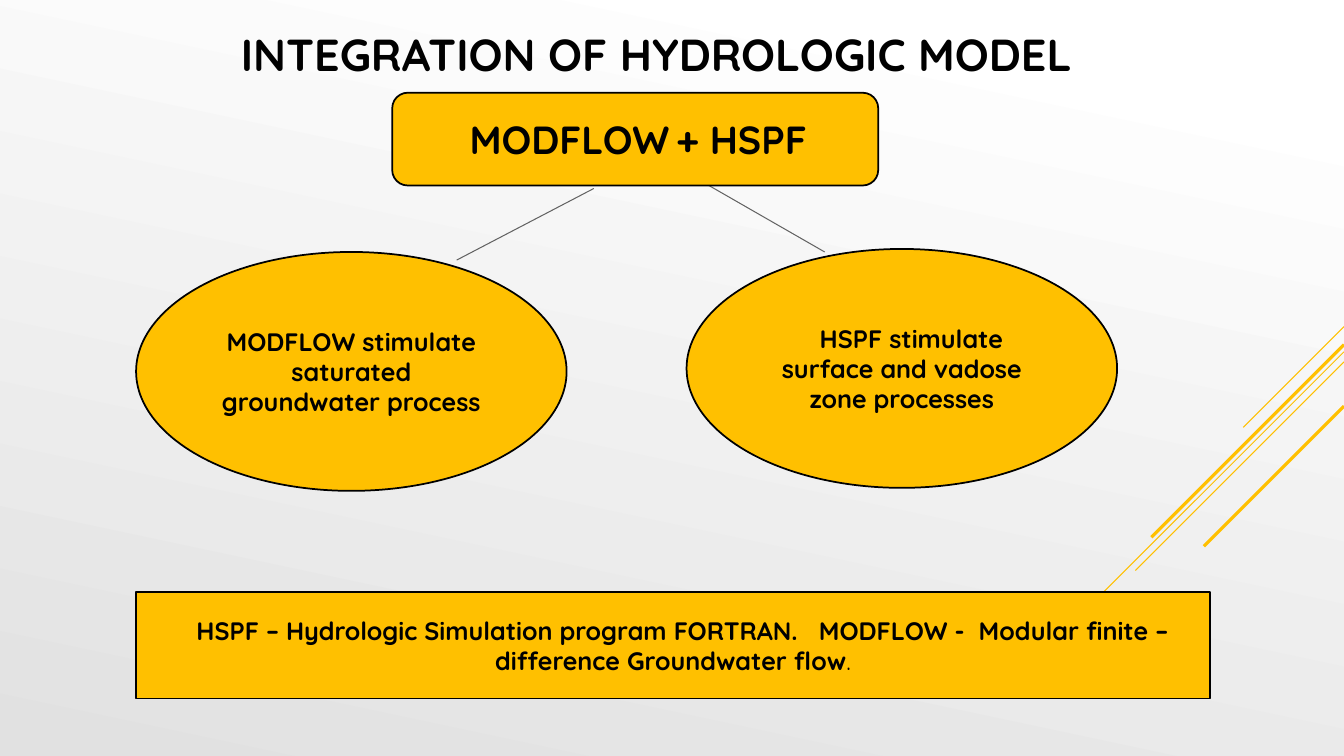
from pptx import Presentation
from pptx.dml.color import RGBColor
from pptx.enum.shapes import MSO_CONNECTOR as Link, MSO_SHAPE as Form
from pptx.enum.text import MSO_ANCHOR as Anchor, PP_ALIGN as Align
from pptx.oxml.ns import qn
from pptx.util import Inches, Pt
from lxml.etree import SubElement

GOLD = "FFC000"
BLACK = "000000"


def color(code):
    return RGBColor.from_string(code)


def write(shape, parts, align, indent=0):
    frame = shape.text_frame
    frame.word_wrap = True
    frame.vertical_anchor = Anchor.MIDDLE
    para = frame.paragraphs[0]
    para.alignment = align
    para._p.get_or_add_pPr().set("indent", str(Inches(indent)))
    for text, size, bold in parts:
        run = para.add_run()
        run.text = text
        run.font.name = "Quicksand"
        run.font.size = Pt(size)
        run.font.bold = bold
        run.font.color.rgb = color(BLACK)


def add_line(slide, start, end, code, width, alpha=None):
    line = slide.shapes.add_connector(
        Link.STRAIGHT, *(Inches(v) for v in (*start, *end)))
    line.line.width = Pt(width)
    line.line.color.rgb = color(code)
    props = line._element.spPr
    if alpha:
        tint = props.find(".//" + qn("a:srgbClr"))
        SubElement(tint, qn("a:alpha")).set("val", str(alpha * 1000))
    SubElement(props, qn("a:effectLst"))


def add_node(slide, form, box, parts, indent=0):
    node = slide.shapes.add_shape(form, *(Inches(v) for v in box))
    node.shadow.inherit = False
    node.fill.solid()
    node.fill.fore_color.rgb = color(GOLD)
    node.line.color.rgb = color(BLACK)
    node.line.width = Pt(1.25)
    write(node, parts, Align.CENTER, indent)


def add_back(slide):
    fill = slide.background.fill
    fill.gradient()
    fill.gradient_angle = 258
    for stop, place, code in zip(fill.gradient_stops, (0.1, 1), ("FFFFFF", "E1E1E1")):
        stop.position = place
        stop.color.rgb = color(code)


def add_rays(slide, right):
    rays = [(3.24, 1, 0.75), (3.49, 3.26, 0.75), (3.59, 2.07, 0.75),
            (3.42, 1.91, 2.25), (4.03, 1.39, 2.25)]
    for top, span, width in rays:
        add_line(slide, (right, top), (right - span, top + span), GOLD, width)


def add_title(slide, box):
    title = slide.shapes.add_textbox(*(Inches(v) for v in box))
    write(title, [("INTEGRATION OF HYDROLOGIC MODEL", 32, True)], Align.LEFT, 0.94)


def add_tree(slide, left, top):
    add_node(slide, Form.ROUNDED_RECTANGLE, (left + 2.54, top, 4.82, 0.92),
             [("MODFLOW", 28, True), (" ", 18, False), ("+ HSPF", 28, True)], 0.06)
    add_line(slide, (left + 4.54, top + 0.95), (left + 3.18, top + 1.66), BLACK, 0.75, 60)
    add_line(slide, (left + 5.68, top + 0.92), (left + 6.83, top + 1.58), BLACK, 0.75, 60)
    leaves = [(0, 1.58, "MODFLOW stimulate saturated groundwater process", 0),
              (5.46, 1.55, "HSPF stimulate surface and vadose zone processes", 0.19)]
    for x, y, text, indent in leaves:
        add_node(slide, Form.OVAL, (left + x, top + y, 4.27, 2.37),
                 [(text, 18, True)], indent)


def add_key(slide, box):
    text = ("HSPF – Hydrologic Simulation program FORTRAN.   "
            "MODFLOW -  Modular finite – difference Groundwater flow")
    add_node(slide, Form.RECTANGLE, box, [(text, 18, True), (".", 18, False)], 0.19)


def main():
    deck = Presentation()
    deck.slide_width = Inches(13.33)
    deck.slide_height = Inches(7.5)
    slide = deck.slides.add_slide(deck.slide_layouts[6])
    add_back(slide)
    add_rays(slide, 13.33)
    add_title(slide, (1.35, 0.14, 10.65, 0.78))
    add_tree(slide, 1.35, 0.92)
    add_key(slide, (1.35, 5.87, 10.65, 1.06))
    deck.save("out.pptx")


if __name__ == "__main__":
    main()
